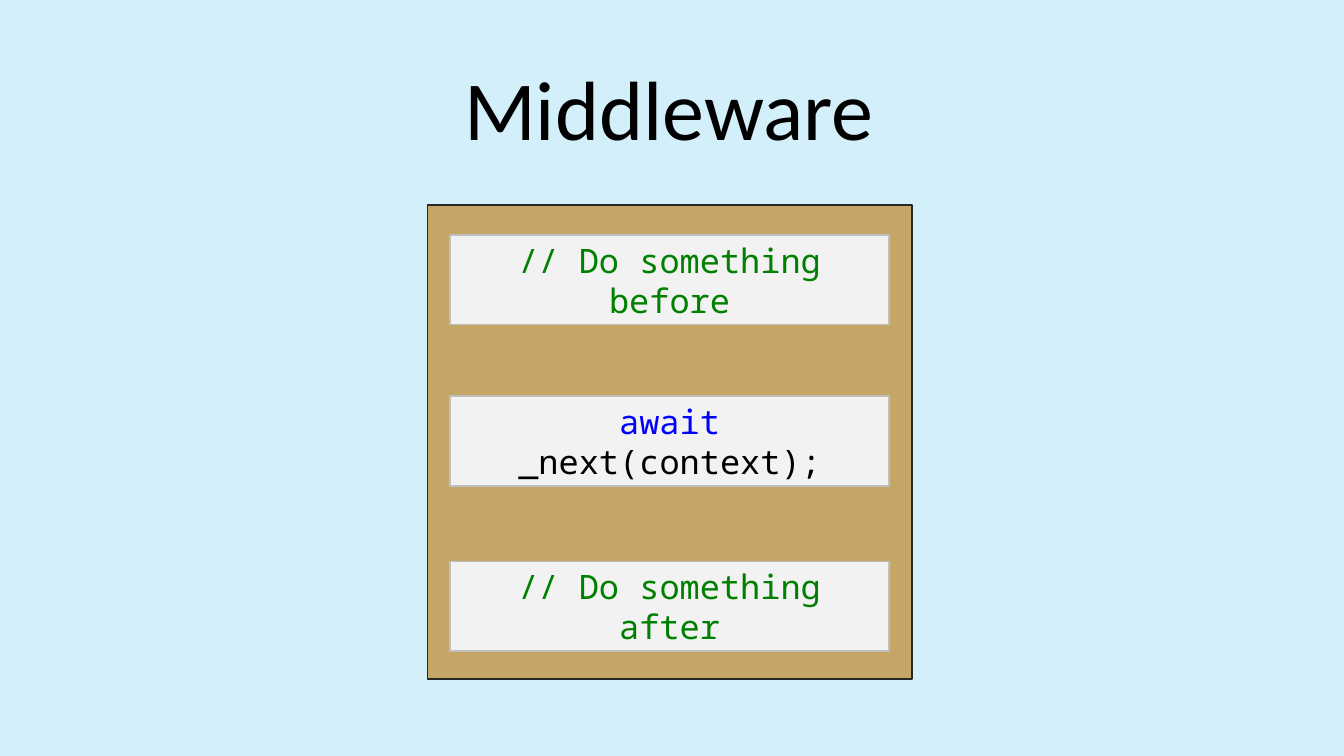
from pptx import Presentation
from pptx.dml.color import RGBColor
from pptx.enum.shapes import MSO_SHAPE
from pptx.enum.text import MSO_ANCHOR, PP_ALIGN
from pptx.util import Inches, Pt

SKY = RGBColor(0xD2, 0xEF, 0xFA)
TAN = RGBColor(0xC5, 0xA6, 0x67)
CHARCOAL = RGBColor(0x26, 0x26, 0x26)
PALE_GRAY = RGBColor(0xF2, 0xF2, 0xF2)
MID_GRAY = RGBColor(0xBF, 0xBF, 0xBF)
GREEN = RGBColor(0x00, 0x80, 0x00)
BLUE = RGBColor(0x00, 0x00, 0xFF)
BLACK = RGBColor(0x00, 0x00, 0x00)

WIDTH, HEIGHT = Inches(13.33), Inches(7.5)
STEPS = [
    (31.07, [("// Do something before", GREEN)]),
    (52.4, [("await", BLUE), (" _next(context);", BLACK)]),
    (74.27, [("// Do something after", GREEN)]),
]


def area(left, top, width, height):
    """Turn percentages of the slide's size into lengths."""
    return (int(WIDTH * left / 100), int(HEIGHT * top / 100),
            int(WIDTH * width / 100), int(HEIGHT * height / 100))


def write(tf, runs, font, size, anchor):
    """Fill a text frame with one centred paragraph of coloured runs."""
    tf.word_wrap = True
    tf.vertical_anchor = anchor
    p = tf.paragraphs[0]
    p.alignment = PP_ALIGN.CENTER
    for text, color in runs:
        r = p.add_run()
        r.text = text
        r.font.name = font
        r.font.size = Pt(size)
        r.font.color.rgb = color


def add_title(s, text):
    """Place and format the title placeholder."""
    title = s.shapes.title
    title.left, title.top, title.width, title.height = area(32.48, 6.8, 34.58, 14.8)
    write(title.text_frame, [(text, BLACK)], "Calibri", 60, MSO_ANCHOR.TOP)


def add_box(s, bounds, fill, line):
    """Add a flat outlined rectangle."""
    sp = s.shapes.add_shape(MSO_SHAPE.RECTANGLE, *bounds)
    sp.shadow.inherit = False
    sp.fill.solid()
    sp.fill.fore_color.rgb = fill
    sp.line.color.rgb = line
    sp.line.width = Pt(1.25)
    return sp


def add_step(s, top, runs):
    """Add one line of middleware code in its own box."""
    sp = add_box(s, area(33.46, top, 32.71, 11.87), PALE_GRAY, MID_GRAY)
    write(sp.text_frame, runs, "Noto Sans Mono", 24, MSO_ANCHOR.MIDDLE)


def main():
    """Build the middleware slide."""
    prs = Presentation()
    prs.slide_width, prs.slide_height = WIDTH, HEIGHT
    s = prs.slides.add_slide(prs.slide_layouts[5])
    s.background.fill.solid()
    s.background.fill.fore_color.rgb = SKY
    add_title(s, "Middleware")
    add_box(s, area(31.81, 27.07, 36.08, 62.8), TAN, CHARCOAL)
    for top, runs in STEPS:
        add_step(s, top, runs)
    prs.save("out.pptx")


if __name__ == "__main__":
    main()
